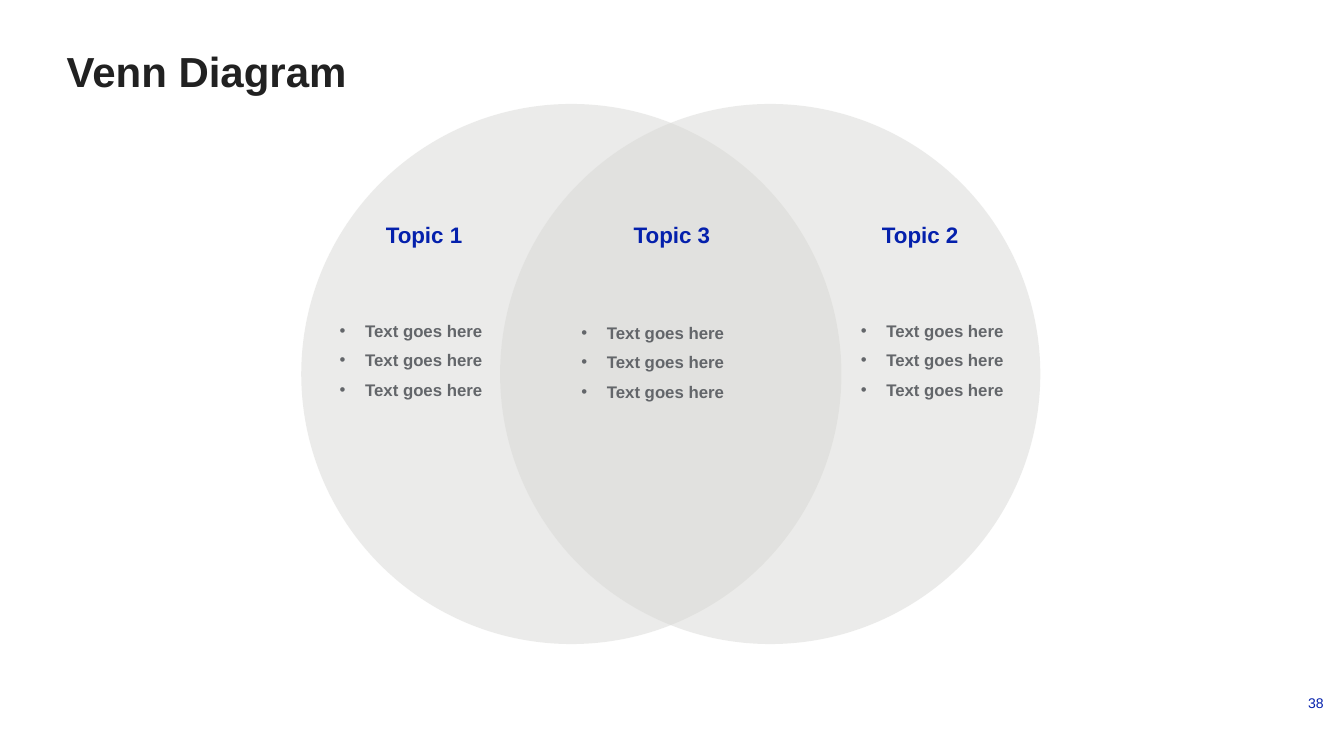
"""Build a two-circle Venn diagram slide with three topics."""
from lxml.etree import SubElement
from pptx import Presentation
from pptx.dml.color import RGBColor
from pptx.enum.shapes import MSO_SHAPE
from pptx.enum.text import MSO_ANCHOR, PP_ALIGN
from pptx.oxml.ns import qn
from pptx.util import Cm, Pt

COLORS = {"title": "212121", "accent": "0420AC", "body": "63666A", "circle": "D9D9D6"}

prs = Presentation()
prs.slide_width, prs.slide_height = Cm(33.86), Cm(19.05)
s = prs.slides.add_slide(prs.slide_layouts[6])


def add_text(box, lines, size, color, bold=True, align=PP_ALIGN.LEFT, wrap=False):
    """Add a text box with one paragraph per line and return its text frame."""
    tf = s.shapes.add_textbox(*[Cm(v) for v in box]).text_frame
    tf.word_wrap = wrap
    for i, line in enumerate(lines):
        p = tf.add_paragraph() if i else tf.paragraphs[0]
        p.text = line
        p.alignment = align
        p.space_before = Pt(6.6 if i else 0)
        p.font.name, p.font.size, p.font.bold = "Arial", Pt(size), bold
        p.font.color.rgb = RGBColor.from_string(COLORS[color])
    return tf


tf = add_text((1.68, 1.14, 28.19, 1.14), ["Venn Diagram"], 30, "title", wrap=True)
tf.margin_left = tf.margin_right = tf.margin_top = tf.margin_bottom = 0

tf = add_text((32.33, 17.27, 1.27, 0.91), ["38"], 10, "accent", False, PP_ALIGN.RIGHT, True)
tf.vertical_anchor = MSO_ANCHOR.MIDDLE

for left in (7.59, 12.6):
    sp = s.shapes.add_shape(MSO_SHAPE.OVAL, Cm(left), Cm(2.62), Cm(13.61), Cm(13.61))
    sp.shadow.inherit = False
    sp.line.fill.background()
    sp.fill.solid()
    sp.fill.fore_color.rgb = RGBColor.from_string(COLORS["circle"])
    color = sp.fill._xPr.find(qn("a:solidFill"))[0]
    SubElement(color, qn("a:alpha"), val="50000")

topics = [
    ("Topic 1", 9.47, 8.31, 7.95, PP_ALIGN.LEFT),
    ("Topic 3", 15.7, 14.4, 8, PP_ALIGN.CENTER),
    ("Topic 2", 21.97, 21.44, 7.95, PP_ALIGN.LEFT),
]
for topic, topic_left, list_left, list_top, align in topics:
    add_text((topic_left, 5.46, 2.46, 0.94), [topic], 16, "accent", align=align)
    tf = add_text((list_left, list_top, 4.14, 2.31), ["Text goes here"] * 3, 12, "body")
    for p in tf.paragraphs:
        pPr = p._p.get_or_add_pPr()
        pPr.set("marL", str(Cm(0.64)))
        pPr.set("indent", str(-Cm(0.64)))
        bullet_font = pPr.makeelement(qn("a:buFont"), {"typeface": "Arial"})
        bullet = pPr.makeelement(qn("a:buChar"), {"char": "•"})
        pPr.find(qn("a:defRPr")).addprevious(bullet_font)
        bullet_font.addnext(bullet)

prs.save("out.pptx")
